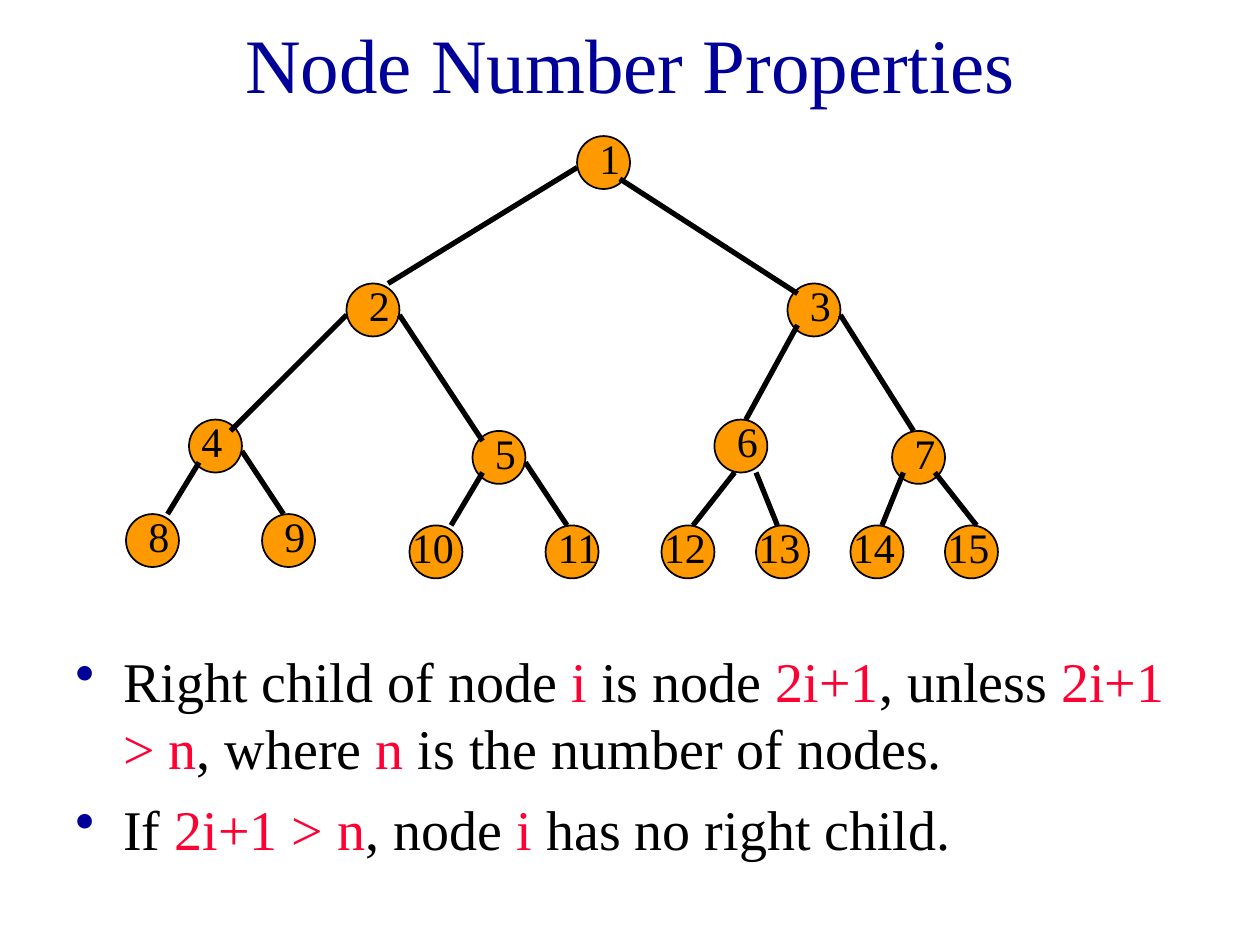
from typing import NamedTuple

from pptx import Presentation
from pptx.dml.color import RGBColor
from pptx.enum.shapes import MSO_CONNECTOR, MSO_SHAPE
from pptx.enum.text import MSO_ANCHOR, PP_ALIGN
from pptx.oxml.ns import qn
from pptx.util import Inches, Pt
from lxml import etree

OVAL, LINE = MSO_SHAPE.OVAL, MSO_CONNECTOR.STRAIGHT
MIDDLE, CENTER = MSO_ANCHOR.MIDDLE, PP_ALIGN.CENTER
FONT = "Times New Roman"
SIZE = 0.42
COLORS = {"title": "000099", "text": "000000", "mark": "FF0033",
          "node": "FF9900", "edge": "000000"}


class Node(NamedTuple):
    num: int
    left: float
    top: float
    shift: float = 0.08


class Edge(NamedTuple):
    x1: float
    y1: float
    x2: float
    y2: float


NODES = [
    Node(1, 4.58, 1.08), Node(2, 2.75, 2.25), Node(3, 6.25, 2.25),
    Node(4, 1.5, 3.33, 0), Node(5, 3.75, 3.42),
    Node(6, 5.67, 3.33), Node(7, 7.08, 3.42),
    Node(8, 1, 4.08), Node(9, 2.08, 4.08),
    Node(10, 3.25, 4.17, -0.08), Node(11, 4.33, 4.17, 0),
    *(Node(12 + i, 5.25 + 0.75 * i, 4.17, -0.08) for i in range(4)),
]
EDGES = [
    Edge(4.58, 1.33, 3.08, 2.25), Edge(4.92, 1.42, 6.33, 2.33),
    Edge(2.75, 2.5, 1.83, 3.42), Edge(3.17, 2.5, 3.83, 3.5),
    Edge(6.33, 2.58, 5.92, 3.33), Edge(6.67, 2.5, 7.25, 3.42),
    Edge(1.58, 3.67, 1.33, 4.08), Edge(1.92, 3.58, 2.25, 4.08),
    Edge(3.83, 3.75, 3.58, 4.17), Edge(4.17, 3.67, 4.5, 4.17),
    Edge(5.83, 3.75, 5.5, 4.17), Edge(6, 3.75, 6.17, 4.17),
    Edge(7.17, 3.75, 7, 4.17), Edge(7.42, 3.75, 7.75, 4.17),
]
# Plain and marked runs take turns
POINTS = [
    ["Right child of node ", "i ", "is node ", "2i+1", ", unless ",
     "2i+1 > n", ", where ", "n", " is the number of nodes."],
    ["If ", "2i+1 > n", ", node", " i", " has no right child."],
]


def color(key: str) -> RGBColor:
    return RGBColor.from_string(COLORS[key])


def style(run, size: float, key: str) -> None:
    run.font.name = FONT
    run.font.size = Pt(size)
    run.font.color.rgb = color(key)


def add_box(left: float, top: float, width: float, height: float):
    box = slide.shapes.add_textbox(Inches(left), Inches(top),
                                   Inches(width), Inches(height))
    box.text_frame.word_wrap = True
    return box.text_frame


def add_text(frame, text: str, size: float, key: str) -> None:
    frame.text = text
    style(frame.paragraphs[0].runs[0], size, key)


def add_node(node: Node) -> None:
    oval = slide.shapes.add_shape(OVAL, Inches(node.left), Inches(node.top),
                                  Inches(SIZE), Inches(SIZE))
    oval.shadow.inherit = False
    oval.fill.solid()
    oval.fill.fore_color.rgb = color("node")
    oval.line.color.rgb = color("edge")
    oval.line.width = Pt(1)


def add_edge(edge: Edge) -> None:
    line = slide.shapes.add_connector(LINE, *map(Inches, edge))
    line.line.color.rgb = color("edge")
    line.line.width = Pt(3)
    etree.SubElement(line._element.spPr, qn("a:effectLst"))


def add_label(node: Node) -> None:
    width = 0.33 if node.num < 10 else 0.67
    frame = add_box(node.left + node.shift, node.top - 0.08, width, 0.5)
    add_text(frame, str(node.num), 24, "text")
    frame.paragraphs[0].space_before = Pt(15)


def add_point(para, parts: list[str]) -> None:
    para.space_before = Pt(8)
    for i, part in enumerate(parts):
        run = para.add_run()
        run.text = part
        style(run, 32, "mark" if i % 2 else "text")
    props = para._p.get_or_add_pPr()
    props.set("marL", str(Inches(0.38)))
    props.set("indent", str(-Inches(0.38)))
    tint = etree.SubElement(props, qn("a:buClr"))
    etree.SubElement(tint, qn("a:srgbClr"), val=COLORS["title"])
    etree.SubElement(props, qn("a:buChar"), char="•")


prs = Presentation()
prs.slide_width, prs.slide_height = Inches(10), Inches(7.5)
slide = prs.slides.add_slide(prs.slide_layouts[6])

# Title
head = add_box(0.83, 0, 8.5, 1)
head.vertical_anchor = MIDDLE
add_text(head, "Node Number Properties ", 44, "title")
head.paragraphs[0].alignment = CENTER

# Bullet points
body = add_box(0.5, 5.08, 9.08, 2.17)
for i, parts in enumerate(POINTS):
    add_point(body.add_paragraph() if i else body.paragraphs[0], parts)

# Tree
for node in NODES:
    add_node(node)
for edge in EDGES:
    add_edge(edge)
for node in NODES:
    add_label(node)

prs.save("out.pptx")
